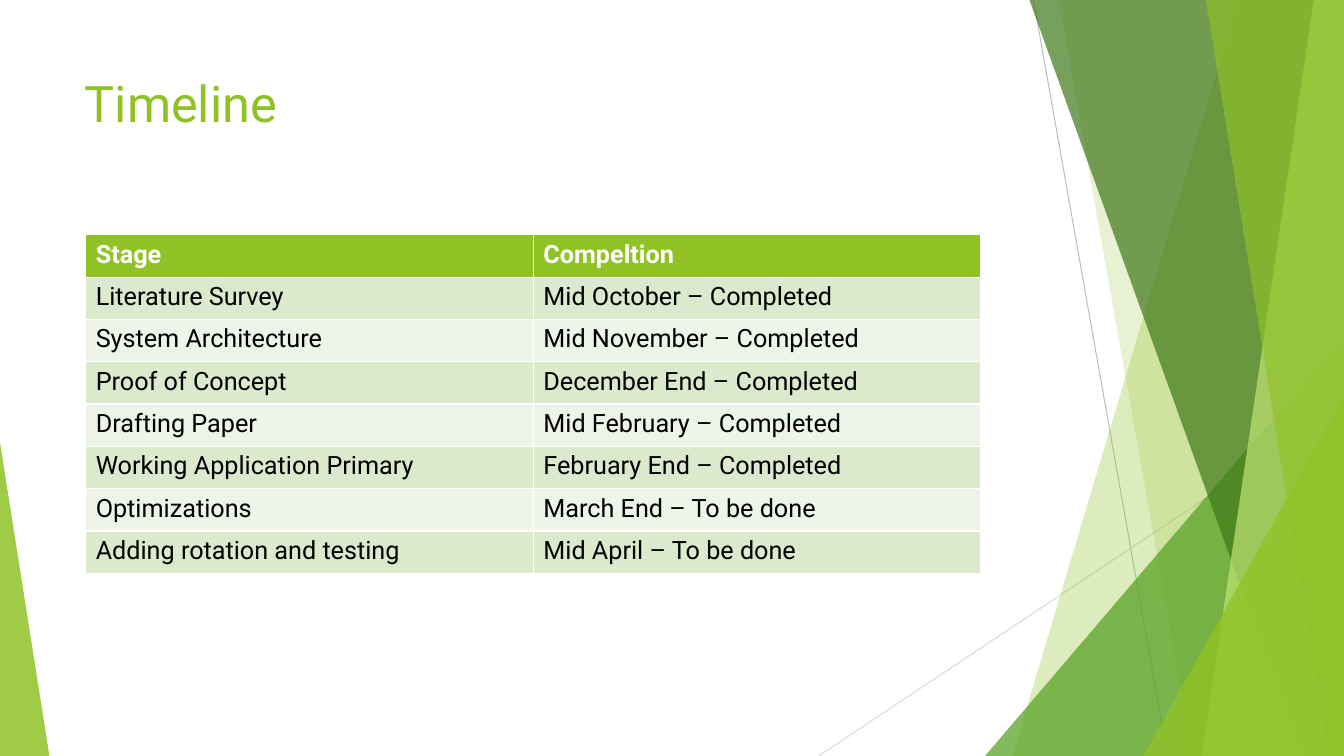
"""Build the project timeline slide with its stage table and green facets."""
from lxml import etree
from pptx import Presentation
from pptx.dml.color import RGBColor
from pptx.enum import shapes, text
from pptx.oxml import ns
from pptx.util import Inches, Pt

GREEN = RGBColor(0x90, 0xC2, 0x26)
LEAF = RGBColor(0x54, 0xA0, 0x21)
FOREST = RGBColor(0x3F, 0x78, 0x19)
LIME = RGBColor(0xC0, 0xE4, 0x74)
GREY = RGBColor(0xBF, 0xBF, 0xBF)
PALE_GREY = RGBColor(0xD9, 0xD9, 0xD9)
BAND_DARK = RGBColor(0xDB, 0xE9, 0xCD)
BAND_LIGHT = RGBColor(0xEE, 0xF4, 0xE8)
WHITE = RGBColor(0xFF, 0xFF, 0xFF)
BLACK = RGBColor(0x00, 0x00, 0x00)
FONT = "Roboto"
WIDTH, HEIGHT = 13.33, 7.5


def paint(shape, color, opacity):
    shape.shadow.inherit = False
    shape.line.fill.background()
    shape.fill.solid()
    shape.fill.fore_color.rgb = color
    tint = shape.fill._xPr.find(".//" + ns.qn("a:srgbClr"))
    etree.SubElement(tint, ns.qn("a:alpha"), val=str(opacity * 1000))


def write(paragraph, words, size, color, bold=False):
    span = paragraph.add_run()
    span.text = words
    span.font.name = FONT
    span.font.size = Pt(size)
    span.font.bold = bold
    span.font.color.rgb = color


deck = Presentation()
deck.slide_width, deck.slide_height = Inches(WIDTH), Inches(HEIGHT)
page = deck.slides.add_slide(deck.slide_layouts[5])

rays = [
    ((10.25, 0), (11.58, HEIGHT), GREY),
    ((WIDTH, 4.03), (8.12, HEIGHT), PALE_GREY),
]
for start, end, color in rays:
    ray = page.shapes.add_connector(
        shapes.MSO_CONNECTOR.STRAIGHT, *[Inches(v) for v in start + end])
    ray.line.color.rgb = color
    ray.line.width = Pt(0.75)
    etree.SubElement(ray._element.spPr, ns.qn("a:effectLst"))

# Each facet: kind, geometry, color, opacity in percent
facets = [
    ("band", (12.28, 10.04), GREEN, 30),
    ("band", (10.5, 11.83), GREEN, 20),
    ("corner", (9.77, 3.33, 3.56, 1), LEAF, 72),
    ("band", (10.21, 12.91), FOREST, 70),
    ("band", (13.03, 11.92), LIME, 70),
    ("band", (11.96, 13.18), GREEN, 65),
    ("corner", (11.34, 3.93, 1.99, 1), GREEN, 80),
    ("corner", (0, 4.39, 0.49, 0), GREEN, 85),
]
for kind, geometry, color, opacity in facets:
    if kind == "band":
        top_x, bottom_x = geometry
        outline = page.shapes.build_freeform(Inches(top_x), 0)
        corners = [(WIDTH, 0), (WIDTH, HEIGHT), (bottom_x, HEIGHT)]
        outline.add_line_segments([(Inches(x), Inches(y)) for x, y in corners])
        facet = outline.convert_to_shape()
    else:
        left, top, width, apex = geometry
        facet = page.shapes.add_shape(
            shapes.MSO_SHAPE.ISOSCELES_TRIANGLE, Inches(left), Inches(top),
            Inches(width), Inches(HEIGHT - top))
        facet.adjustments[0] = apex
    paint(facet, color, opacity)

title = page.shapes.title
title.left, title.top = Inches(0.74), Inches(0.67)
title.width, title.height = Inches(9.4), Inches(1.44)
title.text_frame.auto_size = text.MSO_AUTO_SIZE.NONE
title.text_frame.vertical_anchor = text.MSO_ANCHOR.TOP
heading = title.text_frame.paragraphs[0]
heading.alignment = text.PP_ALIGN.LEFT
write(heading, "Timeline", 36, GREEN)

stages = [
    ("Stage", "Compeltion"),
    ("Literature Survey", "Mid October – Completed"),
    ("System Architecture", "Mid November – Completed"),
    ("Proof of Concept", "December End – Completed"),
    ("Drafting Paper", "Mid February – Completed"),
    ("Working Application Primary", "February End – Completed"),
    ("Optimizations", "March End – To be done"),
    ("Adding rotation and testing", "Mid April – To be done"),
]
table = page.shapes.add_table(
    len(stages), 2, Inches(0.85), Inches(2.33),
    Inches(8.88), Inches(0.42 * len(stages))).table
for row, entries in enumerate(stages):
    header = row == 0
    band = GREEN if header else BAND_DARK if row % 2 else BAND_LIGHT
    for column, words in enumerate(entries):
        cell = table.cell(row, column)
        cell.fill.solid()
        cell.fill.fore_color.rgb = band
        write(cell.text_frame.paragraphs[0], words, 18,
              WHITE if header else BLACK, header)

deck.save("out.pptx")
